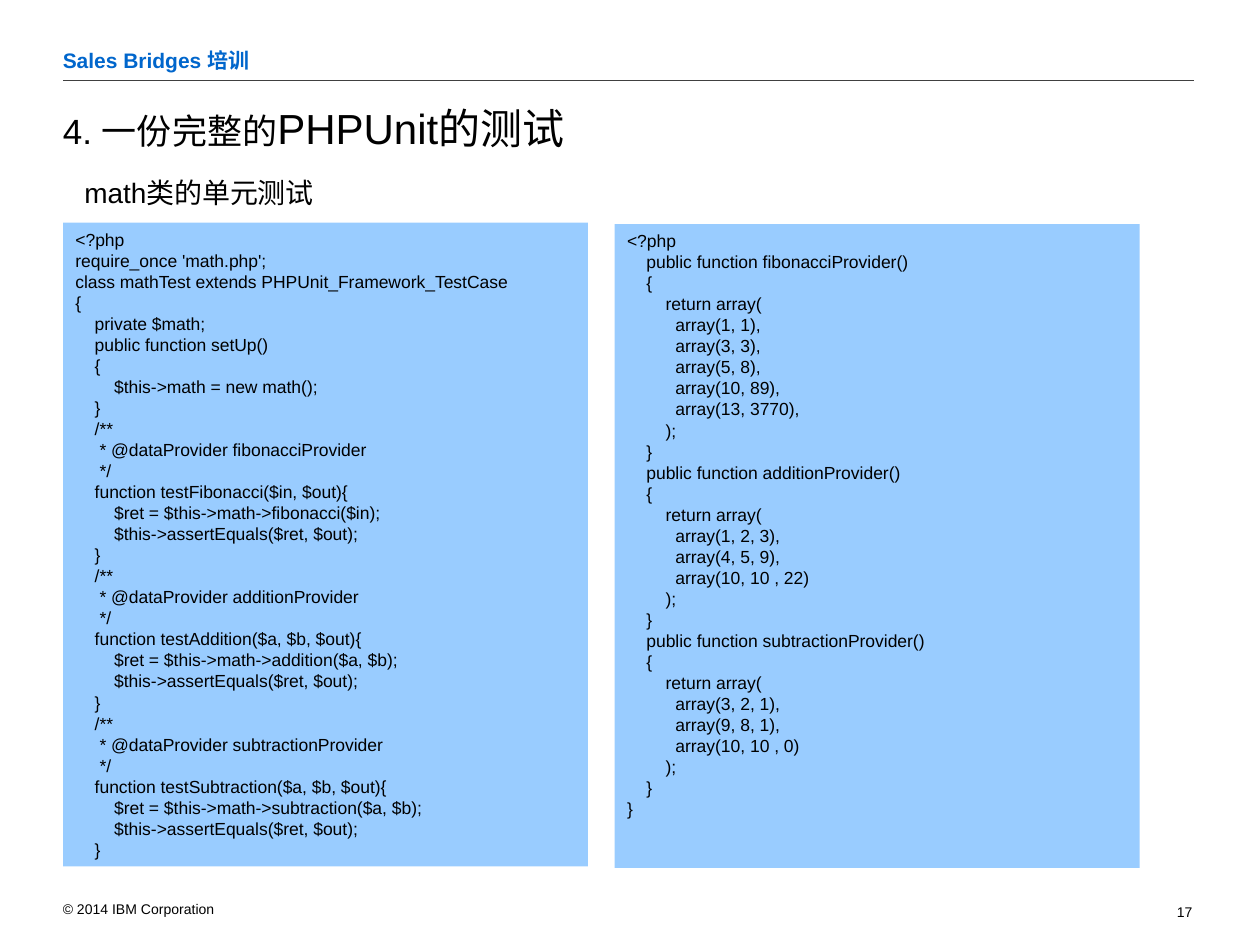
"""Build the slide showing a complete PHPUnit test beside its data providers."""
from lxml import etree
from pptx import Presentation
from pptx import util as u
from pptx.dml.color import RGBColor
from pptx.enum import shapes, text
from pptx.oxml.ns import qn

Pt = u.Pt


def paint(color_format, value):
    color_format.rgb = RGBColor.from_string(value)


def write(sp, lines, color="000000", bold=False, insets=(7.2, 3.6, 7.2, 3.6),
          spacing=None, anchor=text.MSO_ANCHOR.TOP):
    tf = sp.text_frame
    tf.word_wrap = True
    tf.vertical_anchor = anchor
    tf.margin_left, tf.margin_top, tf.margin_right, tf.margin_bottom = map(Pt, insets)
    for i, runs in enumerate(lines):
        p = tf.add_paragraph() if i else tf.paragraphs[0]
        p.alignment = text.PP_ALIGN.LEFT
        if spacing:
            p.line_spacing = spacing
        for words, size in runs:
            r = p.add_run()
            r.text = words
            r.font.name = "Arial"
            r.font.size = Pt(size)
            r.font.bold = bold
            paint(r.font.color, color)


prs = Presentation()
prs.slide_width, prs.slide_height = Pt(720), Pt(540)
s = prs.slides.add_slide(prs.slide_layouts[6])

rule = s.shapes.add_connector(shapes.MSO_CONNECTOR.STRAIGHT, Pt(36), Pt(46), Pt(682.5), Pt(46))
rule.line.width = Pt(0.75)
paint(rule.line.color, "404040")
etree.SubElement(rule._element.spPr, qn("a:effectLst"))

middle = text.MSO_ANCHOR.MIDDLE
labels = [
    ((28.8, 511.2, 240.5, 16.5), [("© 2014 IBM Corporation", 8)], {}),
    ((672.5, 516.2, 32.4, 9.4), [("17", 8)], {"insets": (0, 0, 0, 0)}),
    ((28.8, 23.8, 595.4, 21.6), [("Sales Bridges 培训", 12)], {"color": "0066CC", "bold": True}),
    ((36, 56.2, 643.7, 33.1), [("4. 一份完整的", 20), ("PHPUnit的测试", 24)],
     {"insets": (0, 0, 0, 0), "anchor": middle}),
    ((48.2, 77.8, 288, 47.5), [("math类的单元测试", 16)],
     {"insets": (0, 3.6, 7.2, 3.6), "spacing": 2.0}),
]
for box, runs, style in labels:
    write(s.shapes.add_textbox(*map(Pt, box)), [runs], **style)

test_code = """<?php
require_once 'math.php';
class mathTest extends PHPUnit_Framework_TestCase
{
    private $math;
    public function setUp()
    {
        $this->math = new math();
    }""".split("\n")
provider_code = ["<?php"]

cases = [
    ("fibonacci", "$in", ["(1, 1),", "(3, 3),", "(5, 8),", "(10, 89),", "(13, 3770),"]),
    ("addition", "$a, $b", ["(1, 2, 3),", "(4, 5, 9),", "(10, 10 , 22)"]),
    ("subtraction", "$a, $b", ["(3, 2, 1),", "(9, 8, 1),", "(10, 10 , 0)"]),
]
for name, args, rows in cases:
    test_code += [
        "    /**",
        f"     * @dataProvider {name}Provider",
        "     */",
        f"    function test{name.title()}({args}, $out){{",
        f"        $ret = $this->math->{name}({args});",
        "        $this->assertEquals($ret, $out);",
        "    }",
    ]
    provider_code += [
        f"    public function {name}Provider()",
        "    {",
        "        return array(",
        *[f"          array{row}" for row in rows],
        "        );",
        "    }",
    ]
provider_code.append("}")

for left, top, code in [(36, 127.2, test_code), (351.2, 128, provider_code)]:
    panel = s.shapes.add_shape(shapes.MSO_SHAPE.RECTANGLE, Pt(left), Pt(top), Pt(300), Pt(367.9))
    panel.shadow.inherit = False
    panel.fill.solid()
    paint(panel.fill.fore_color, "99CCFF")
    panel.line.fill.background()
    write(panel, [[(line, 10)] for line in code], spacing=Pt(12.02))

prs.save("out.pptx")
